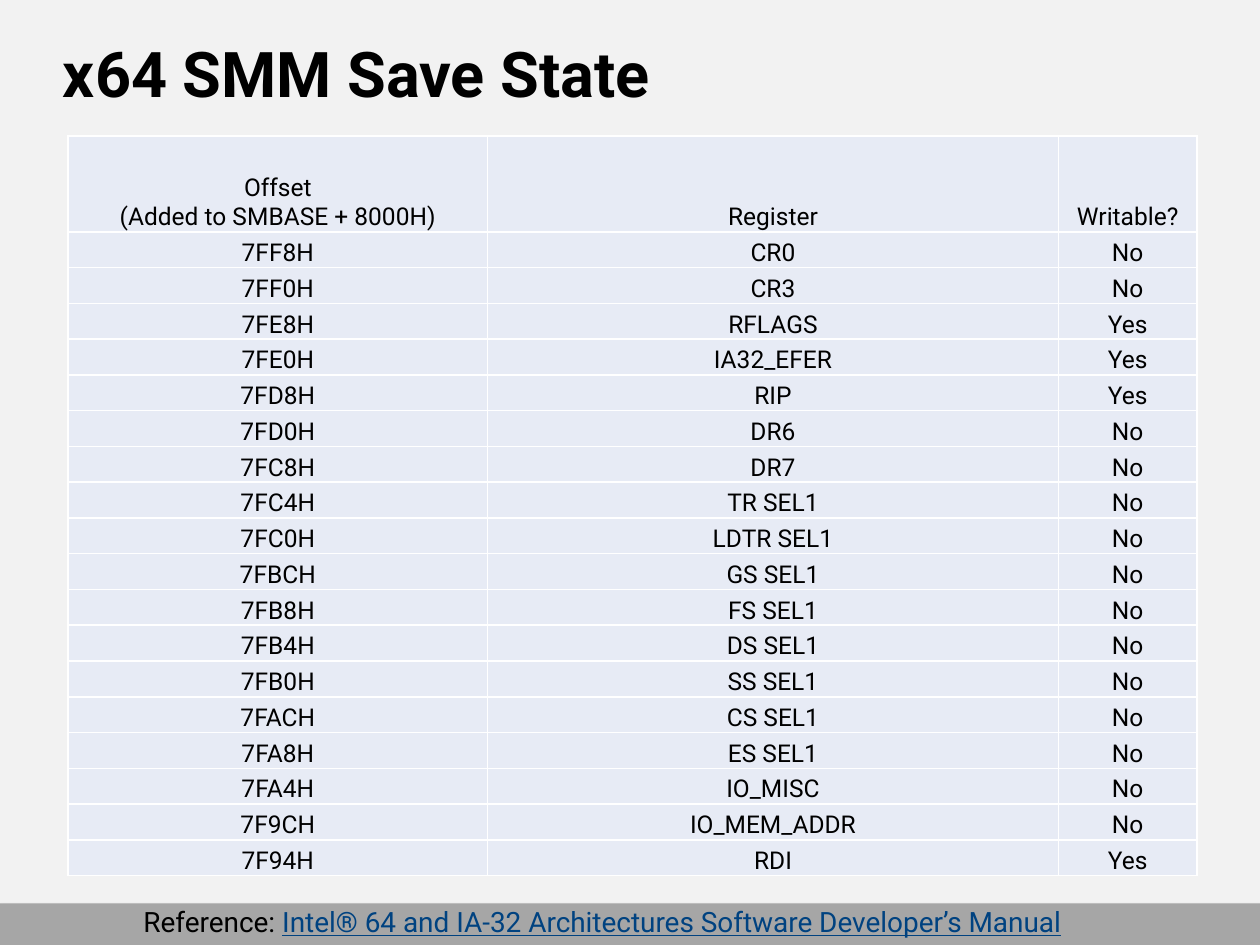
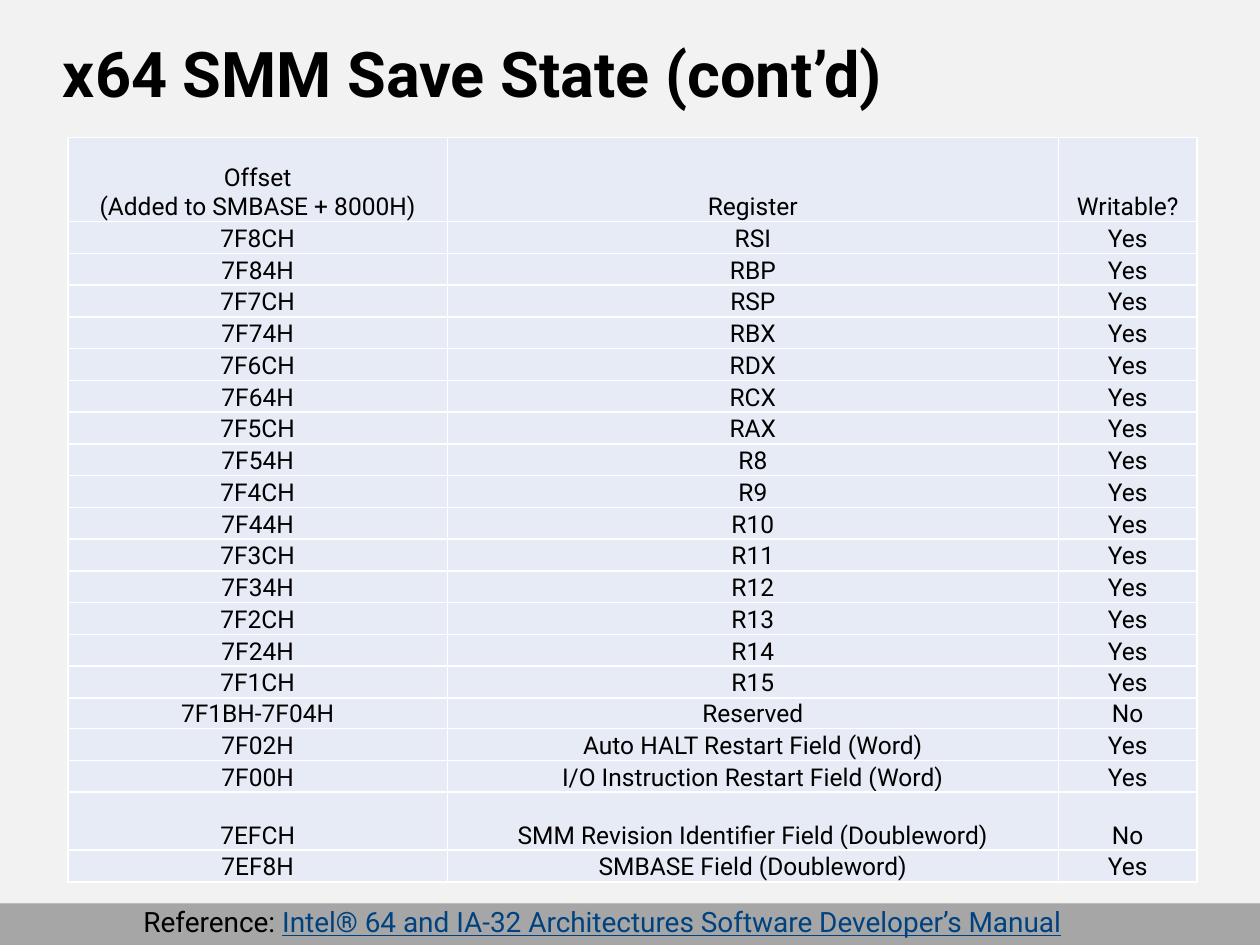
"""Build two slides that list the x64 SMM save state registers."""
from lxml.etree import SubElement
from pptx import Presentation
from pptx.dml.color import RGBColor
from pptx.enum.shapes import MSO_SHAPE as Shape
from pptx.enum.text import MSO_ANCHOR as Anchor, PP_ALIGN as Align
from pptx.oxml.ns import qn
from pptx.util import Inches, Pt

COLUMNS, ROWS = 100, 75
HEADER = "Offset\n(Added to SMBASE + 8000H)|Register|Writable?"
MANUAL = "Intel® 64 and IA-32 Architectures Software Developer’s Manual"

REGISTERS = """7FF8H|CR0|No
7FF0H|CR3|No
7FE8H|RFLAGS|Yes
7FE0H|IA32_EFER|Yes
7FD8H|RIP|Yes
7FD0H|DR6|No
7FC8H|DR7|No
7FC4H|TR SEL1|No
7FC0H|LDTR SEL1|No
7FBCH|GS SEL1|No
7FB8H|FS SEL1|No
7FB4H|DS SEL1|No
7FB0H|SS SEL1|No
7FACH|CS SEL1|No
7FA8H|ES SEL1|No
7FA4H|IO_MISC|No
7F9CH|IO_MEM_ADDR|No
7F94H|RDI|Yes"""

MORE_REGISTERS = """7F8CH|RSI|Yes
7F84H|RBP|Yes
7F7CH|RSP|Yes
7F74H|RBX|Yes
7F6CH|RDX|Yes
7F64H|RCX|Yes
7F5CH|RAX|Yes
7F54H|R8|Yes
7F4CH|R9|Yes
7F44H|R10|Yes
7F3CH|R11|Yes
7F34H|R12|Yes
7F2CH|R13|Yes
7F24H|R14|Yes
7F1CH|R15|Yes
7F1BH-7F04H|Reserved|No
7F02H|Auto HALT Restart Field (Word)|Yes
7F00H|I/O Instruction Restart Field (Word)|Yes
7EFCH|SMM Revision Identifier Field (Doubleword)|No
7EF8H|SMBASE Field (Doubleword)|Yes"""


def color(value):
    return RGBColor.from_string(value)


class Deck:
    """Holds the style and the current slide."""
    font, ink, link = "Roboto", "000000", "004280"
    paper, band_fill, cell_fill, rule = "F2F2F2", "A6A6A6", "E7EBF5", "FFFFFF"

    def __init__(self):
        self.prs = Presentation()
        self.prs.slide_width, self.prs.slide_height = Inches(10), Inches(7.5)
        self.s = None

    def x(self, columns):
        return round(self.prs.slide_width * columns / COLUMNS)

    def y(self, rows):
        return round(self.prs.slide_height * rows / ROWS)

    def box(self, left, top, width, height):
        return self.x(left), self.y(top), self.x(width), self.y(height)

    def style(self, p, size, bold=False):
        p.font.name, p.font.size, p.font.bold = self.font, Pt(size), bold
        p.font.color.rgb = color(self.ink)

    def slide(self, title):
        self.s = self.prs.slides.add_slide(self.prs.slide_layouts[6])
        fill = self.s.background.fill
        fill.solid()
        fill.fore_color.rgb = color(self.paper)
        self.band()
        self.title(title)
        self.reference()

    def band(self):
        sp = self.s.shapes.add_shape(Shape.RECTANGLE, *self.box(0, 71.7, 100, 3.3))
        sp.shadow.inherit = False
        sp.fill.solid()
        sp.fill.fore_color.rgb = color(self.band_fill)
        sp.line.fill.background()
        effects = sp.element.spPr.find(qn("a:effectLst"))
        shadow = SubElement(effects, qn("a:outerShdw"), blurRad=str(Pt(3.1)),
                            dist=str(Pt(1.8)), dir="5400000", rotWithShape="0")
        black = SubElement(shadow, qn("a:srgbClr"), val=self.ink)
        SubElement(black, qn("a:alpha"), val="35000")

    def text(self, *place):
        tf = self.s.shapes.add_textbox(*self.box(*place)).text_frame
        tf.word_wrap = True
        return tf

    def title(self, text):
        tf = self.text(5, 2.7, 90, 10.8)
        tf.margin_left = tf.margin_right = tf.margin_top = tf.margin_bottom = 0
        p = tf.paragraphs[0]
        p.text = text
        self.style(p, 36, bold=True)

    def reference(self):
        p = self.text(10.4, 71.3, 85.4, 3.7).paragraphs[0]
        self.style(p, 16)
        p.add_run().text = "Reference: "
        r = p.add_run()
        r.text = MANUAL
        r.font.underline = True
        r.font.color.rgb = color(self.link)

    def table(self, text, top, height, widths, special):
        rows = [line.split("|") for line in [HEADER, *text.splitlines()]]
        place = self.box(5.4, top, sum(widths), height)
        table = self.s.shapes.add_table(len(rows), len(widths), *place).table
        table.first_row = table.horz_banding = False
        for column, width in zip(table.columns, widths):
            column.width = self.x(width)
        regular = (height - sum(special.values())) / (len(rows) - len(special))
        for i, (row, values) in enumerate(zip(table.rows, rows)):
            row.height = self.y(special.get(i, regular))
            for cell, value in zip(row.cells, values):
                self.cell(cell, value)

    def cell(self, cell, value):
        tc_pr = cell._tc.get_or_add_tcPr()
        for side in ("a:lnL", "a:lnR", "a:lnT", "a:lnB"):
            ln = SubElement(tc_pr, qn(side), w=str(Pt(1)))
            SubElement(SubElement(ln, qn("a:solidFill")), qn("a:srgbClr"), val=self.rule)
        cell.fill.solid()
        cell.fill.fore_color.rgb = color(self.cell_fill)
        cell.margin_left = cell.margin_right = cell.margin_top = Inches(0.01)
        cell.margin_bottom = 0
        cell.vertical_anchor = Anchor.BOTTOM
        p = cell.text_frame.paragraphs[0]
        p.text = value
        p.alignment = Align.CENTER
        self.style(p, 14)


def main():
    deck = Deck()
    deck.slide("x64 SMM Save State")
    deck.table(REGISTERS, 10.8, 58.7, (33.3, 45.3, 11), {0: 7.6})
    deck.slide("x64 SMM Save State (cont’d)")
    deck.table(MORE_REGISTERS, 10.9, 59.1, (30.1, 48.5, 11), {0: 6.7, 16: 2.4, 19: 4.6})
    deck.prs.save("out.pptx")


if __name__ == "__main__":
    main()
